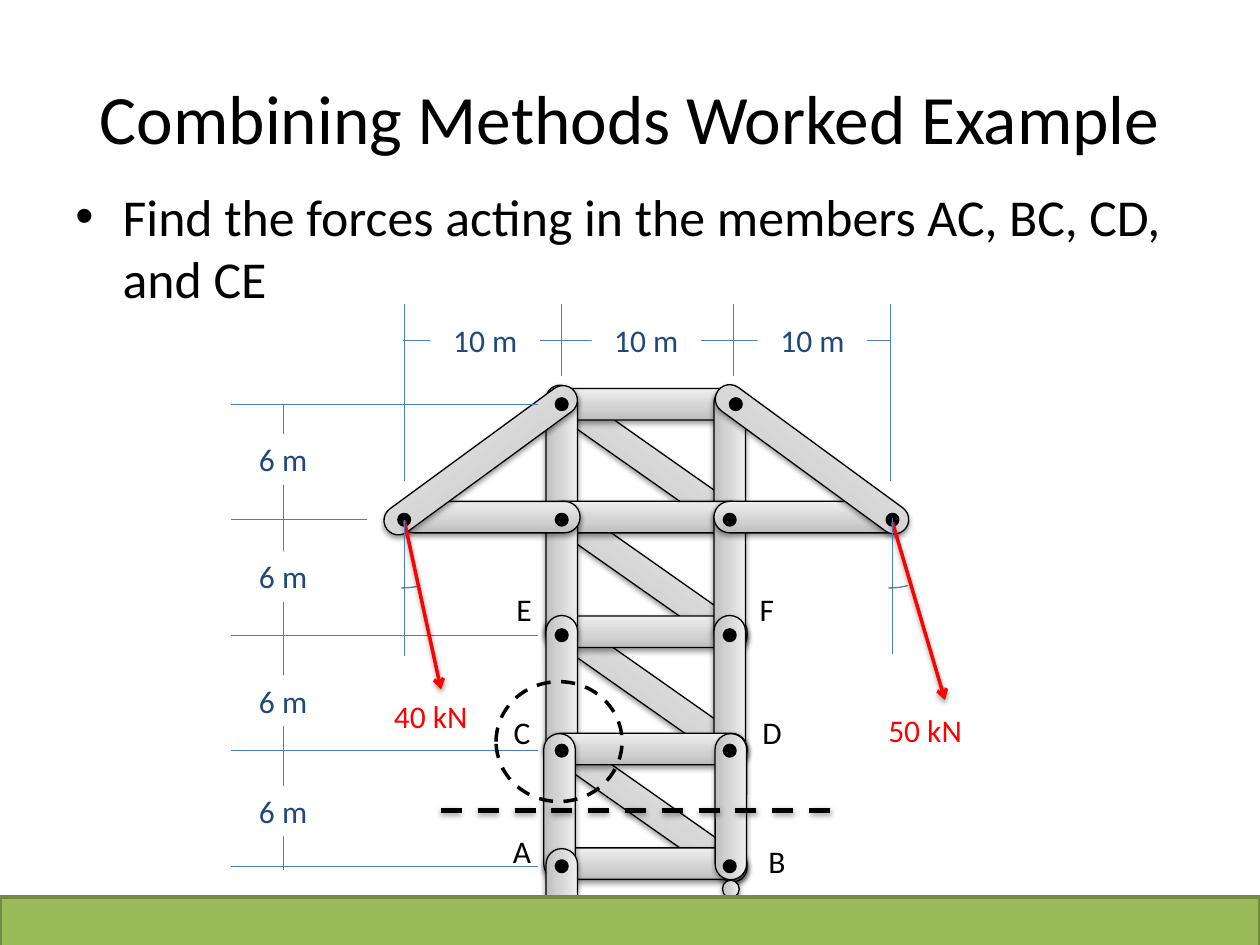
from lxml.etree import SubElement
from pptx import Presentation
from pptx.dml.color import RGBColor
from pptx.enum.dml import MSO_LINE_DASH_STYLE as DASH
from pptx.enum.shapes import MSO_CONNECTOR, MSO_SHAPE
from pptx.enum.text import MSO_ANCHOR, MSO_AUTO_SIZE, PP_ALIGN
from pptx.oxml import parse_xml
from pptx.oxml.ns import nsdecls, qn
from pptx.util import Pt

BLACK = RGBColor(0x00, 0x00, 0x00)
WHITE = RGBColor(0xFF, 0xFF, 0xFF)
RED = RGBColor(0xFF, 0x00, 0x00)
BLUE = RGBColor(0x4B, 0x7E, 0xBC)
NAVY = RGBColor(0x1F, 0x49, 0x7D)
GREEN = RGBColor(0x9B, 0xBB, 0x59)
DARK_GREEN = RGBColor(0x73, 0x8A, 0x42)
STEEL_STOPS = [(0, "BDBDBD"), (35000, "D1D1D1"), (100000, "EEEEEE")]

TITLE = "Combining Methods Worked Example"
TASK = "Find the forces acting in the members AC, BC, CD, and CE"

COLUMNS = [231, 321, 417, 510]
ROWS = [231 + 66 * i for i in range(5)]
LEVELS = [231, 295.5, 361, 428, 493.5]
BAYS = [263, 328.7, 393.5, 461]
MAST = 369.4
THICK, THIN = 18, 16.5
POST, RUNG, DIAGONAL, BRACE = 83.5, 115, 137, 133

RUNGS = [(MAST, level, RUNG, THICK, 0) for level in LEVELS]
POSTS = [[(x, bay, POST, THICK, 90) for x in COLUMNS[1:3]] for bay in BAYS]
DIAGONALS = [(MAST, bay, DIAGONAL, THIN, 35.1) for bay in BAYS]
MEMBERS = [
    *DIAGONALS, RUNGS[4], RUNGS[0], *POSTS[0], RUNGS[1], RUNGS[2],
    *POSTS[1], *POSTS[2], RUNGS[3],
    (319.7, BAYS[3], POST, THICK, 90),
    (417.6, BAYS[3], POST, THICK, 90),
    (279.5, LEVELS[1], 104, THICK, 0),
    (462, LEVELS[1], 108, THICK, 0),
    (464, 262.5, BRACE, THIN, 36.2),
    (321, 526.7, POST, THICK, 90),
    (417.6, 508, 10, 9.5, 90),
    (274.7, 263, BRACE, THIN, -36.2),
]
JOINTS = [(321, ROWS[0]), (420.5, ROWS[0]), (COLUMNS[0], ROWS[1]), (COLUMNS[3], ROWS[1])]
JOINTS += [(x, y) for x in COLUMNS[1:3] for y in ROWS[1:]]

HEIGHT_LABEL_TOPS = [248, 315, 386, 449]
WIDTH_LABEL_LEFTS = [246, 338, 433]
EXTENSIONS = [(231, 275), (321, 215), (419, 215), (509, 275)]
ARC_LEFTS = [194.5, 473]
LOADS = [
    ("40 kN", (231, 297.5), (252, 394), (218, 395)),
    ("50 kN", (510, 298.5), (540, 400), (500.5, 403)),
]
PLUMB_LINES = [(231, 297, 375), (510, 296, 374)]
JOINT_LABELS = [("A", 286, 472), ("B", 432, 477.5), ("C", 286.5, 404),
                ("D", 428.5, 404), ("E", 288, 333.5), ("F", 427, 333.5)]

presentation = Presentation()
presentation.slide_width = Pt(720)
presentation.slide_height = Pt(540)
slide = presentation.slides.add_slide(presentation.slide_layouts[6])


def set_line(line, color, width, dash=None):
    line.color.rgb = color
    line.width = Pt(width)
    if dash:
        line.dash_style = dash


def add_shadow(properties, alpha):
    effects = properties.find(qn("a:effectLst"))
    effects.append(parse_xml(
        f'<a:outerShdw {nsdecls("a")} blurRad="39400" dist="20300" dir="5400000" rotWithShape="0">'
        f'<a:srgbClr val="000000"><a:alpha val="{alpha * 1000}"/></a:srgbClr></a:outerShdw>'))


def add_figure(kind, left, top, width, height, fill=None, color=BLACK, weight=0.75, dash=None):
    shape = slide.shapes.add_shape(kind, Pt(left), Pt(top), Pt(width), Pt(height))
    shape.shadow.inherit = False
    if fill is None:
        shape.fill.background()
    else:
        shape.fill.solid()
        shape.fill.fore_color.rgb = fill
    set_line(shape.line, color, weight, dash)
    return shape


def add_member(x, y, length, thickness, rotation):
    shape = add_figure(MSO_SHAPE.ROUNDED_RECTANGLE, x - length / 2, y - thickness / 2,
                       length, thickness, WHITE)
    shape.adjustments[0] = 0.5
    shape.rotation = rotation
    properties = shape.element.spPr
    stops = "".join(f'<a:gs pos="{position}"><a:srgbClr val="{color}"/></a:gs>'
                    for position, color in STEEL_STOPS)
    properties.replace(properties.find(qn("a:solidFill")), parse_xml(
        f'<a:gradFill {nsdecls("a")} rotWithShape="1"><a:gsLst>{stops}</a:gsLst>'
        '<a:lin ang="16200000" scaled="0"/></a:gradFill>'))
    add_shadow(properties, 38)


def add_line(start, end, color=BLUE, width=0.75, dash=None, arrow=False, shadow=0):
    line = slide.shapes.add_connector(MSO_CONNECTOR.STRAIGHT, *map(Pt, (*start, *end)))
    set_line(line.line, color, width, dash)
    properties = line._element.spPr
    if arrow:
        SubElement(properties.find(qn("a:ln")), qn("a:tailEnd"), type="arrow")
    SubElement(properties, qn("a:effectLst"))
    if shadow:
        add_shadow(properties, shadow)


def add_text(text, left, top, width, height=29, size=18, color=BLACK, align=PP_ALIGN.LEFT,
             anchor=MSO_ANCHOR.TOP, wrap=True, fill=None, bullet=False, grow=True):
    box = slide.shapes.add_textbox(Pt(left), Pt(top), Pt(width), Pt(height))
    if fill is not None:
        box.fill.solid()
        box.fill.fore_color.rgb = fill
    frame = box.text_frame
    frame.word_wrap = wrap
    frame.auto_size = MSO_AUTO_SIZE.SHAPE_TO_FIT_TEXT if grow else MSO_AUTO_SIZE.NONE
    frame.vertical_anchor = anchor
    paragraph = frame.paragraphs[0]
    paragraph.text = text
    paragraph.alignment = align
    if bullet:
        properties = paragraph._p.get_or_add_pPr()
        properties.set("marL", str(Pt(27)))
        properties.set("indent", str(-Pt(27)))
        SubElement(properties, qn("a:buFont"), typeface="Arial")
        SubElement(properties, qn("a:buChar"), char="•")
    font = paragraph.runs[0].font
    font.name = "Calibri"
    font.size = Pt(size)
    font.color.rgb = color


def add_dimension(text, left, top):
    add_text(text, left, top, 62.5, color=NAVY, align=PP_ALIGN.CENTER, fill=WHITE)


for left in ARC_LEFTS:
    arc = add_figure(MSO_SHAPE.ARC, left, 264, 72, 72, color=BLUE)
    arc.adjustments[0] = 44.58
    arc.adjustments[1] = 55.09

add_text(TITLE, 36, 21.6, 648, 90, size=39.6, align=PP_ALIGN.CENTER,
         anchor=MSO_ANCHOR.MIDDLE, grow=False)
add_text(TASK, 36, 102, 648, 78.5, size=29.6, bullet=True, grow=False)

for member in MEMBERS:
    add_member(*member)
add_figure(MSO_SHAPE.RECTANGLE, 0, 512.6, 720, 55.4, GREEN, DARK_GREEN, 2)
for x, y in JOINTS:
    add_figure(MSO_SHAPE.OVAL, x - 3, y - 3, 6, 6, BLACK, weight=2)

for index, y in enumerate(ROWS):
    add_line((210 if index == 1 else 307.5, y), (132, y))
add_line((162, 497), (162, 231))
for top in HEIGHT_LABEL_TOPS:
    add_dimension("6 m", 130.5, top)

for x, bottom in EXTENSIONS:
    add_line((x, bottom), (x, 174))
add_line((509, 194.5), (230.5, 194.5))
for left in WIDTH_LABEL_LEFTS:
    add_dimension("10 m", left, 180)

for text, start, end, corner in LOADS:
    add_line(start, end, RED, 2, arrow=True, shadow=38)
    add_text(text, *corner, 67, color=RED)
for x, top, bottom in PLUMB_LINES:
    add_line((x, bottom), (x, top))
for text, left, top in JOINT_LABELS:
    add_text(text, left, top, 24.5, wrap=False)

add_line((252, 463), (480, 463), BLACK, 3, DASH.DASH, shadow=35)
add_figure(MSO_SHAPE.OVAL, 283.5, 389.5, 72, 68.5, weight=2, dash=DASH.DASH)

presentation.save("out.pptx")
